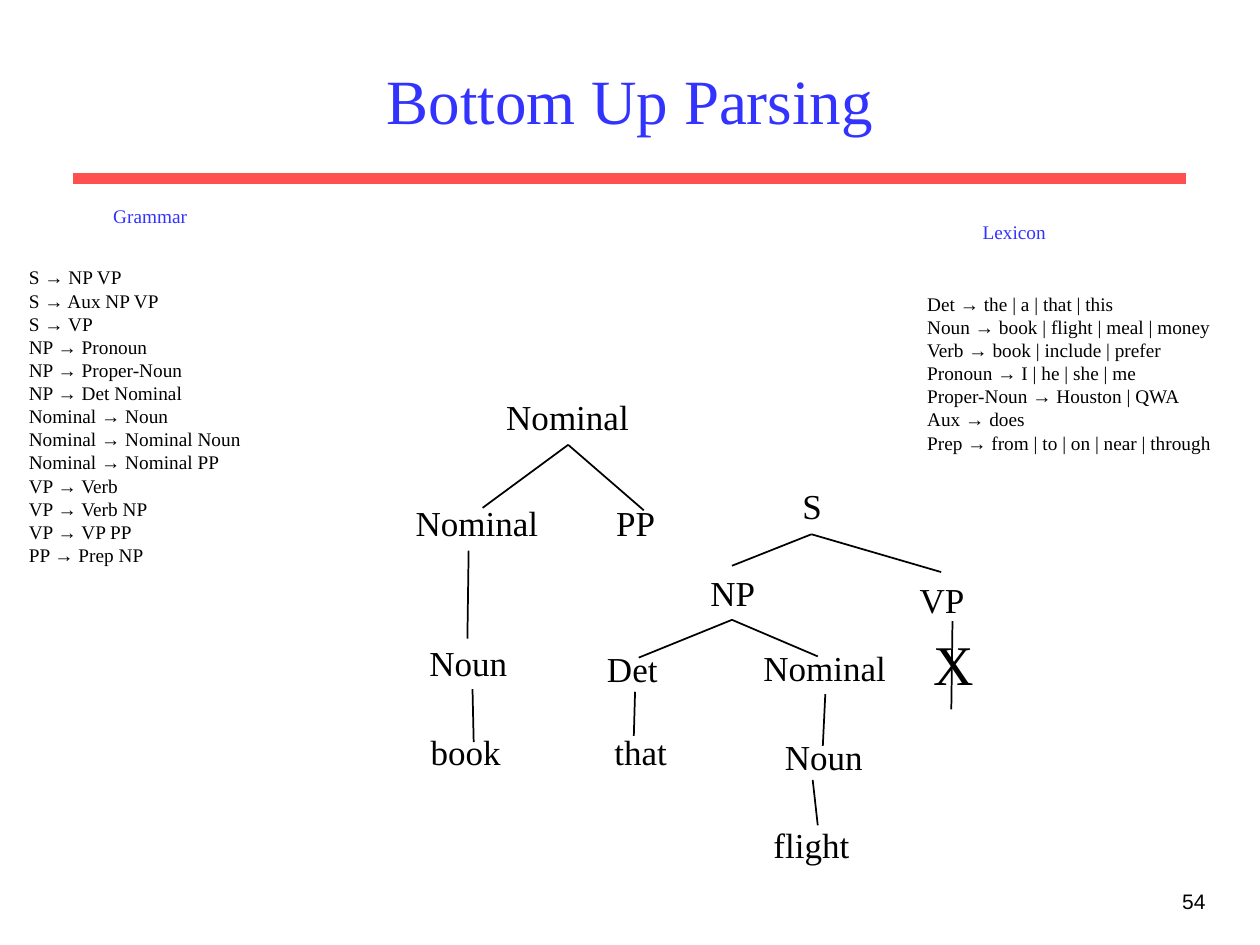
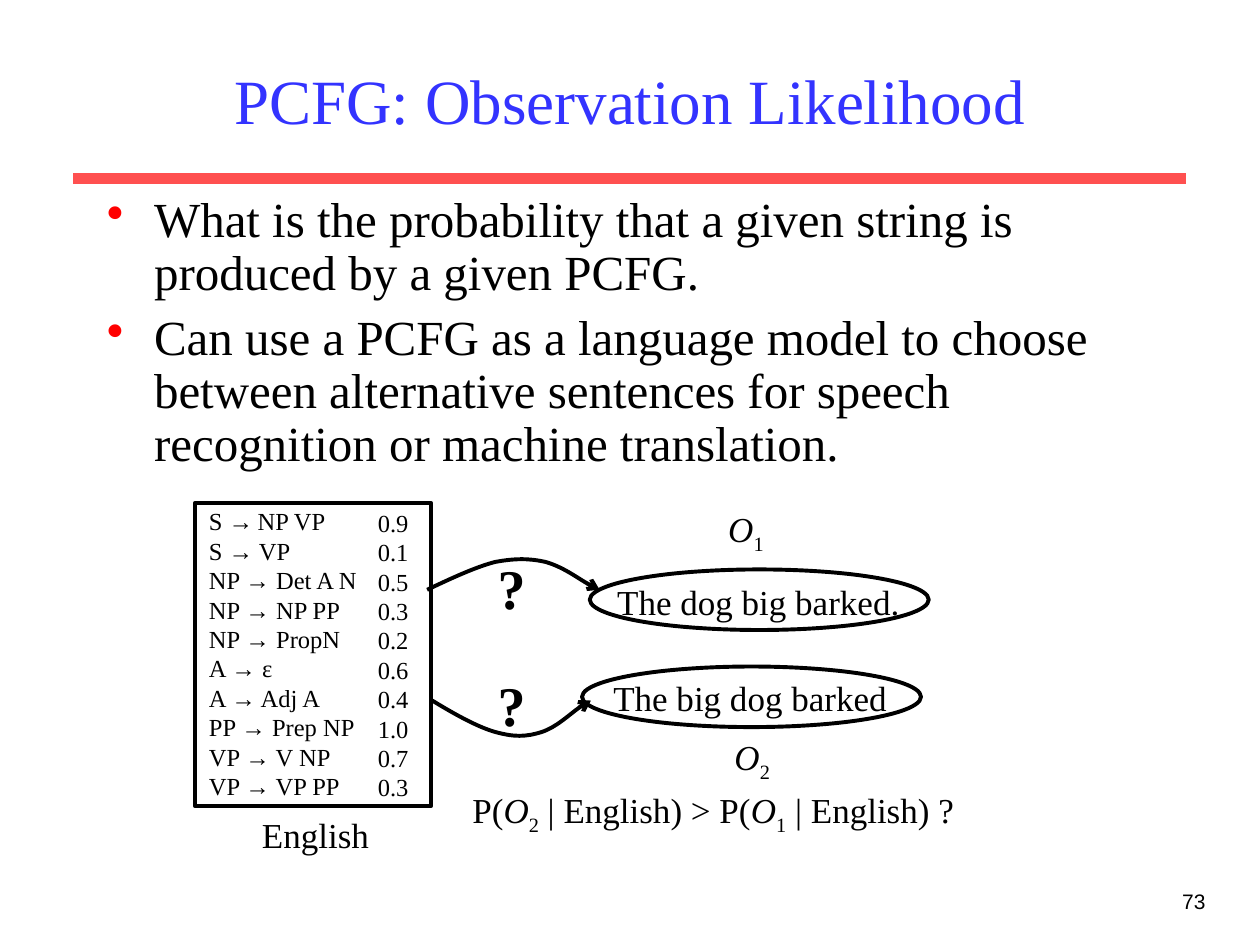
from lxml.etree import SubElement
from pptx import Presentation
from pptx.dml.color import RGBColor
from pptx.enum.shapes import MSO_CONNECTOR as Link, MSO_SHAPE as Kind
from pptx.enum.text import MSO_ANCHOR as Anchor, MSO_AUTO_SIZE as Fit, PP_ALIGN as Align
from pptx.oxml.ns import qn
from pptx.util import Pt

BLACK, BLUE, RED, CORAL = "000000", "3333FF", "FF0000", "FF5050"
SERIF, SANS = "Times New Roman", "Arial"
ROW = 31.7  # height of a 20 pt label


def paint(target, hue):
    """Set the colour of a fill or a font."""
    if hasattr(target, "solid"):
        target.solid()
        target = target.fore_color
    else:
        target = target.color
    target.rgb = RGBColor.from_string(hue)


class Deck:
    """Holds the shared style and the current slide."""

    def __init__(self):
        self.prs = Presentation()
        self.prs.slide_width, self.prs.slide_height = Pt(720), Pt(540)
        self.slide = None

    def page(self, title, number):
        """Start a slide with its title, rule and page number."""
        self.slide = self.prs.slides.add_slide(self.prs.slide_layouts[5])
        head = self.slide.shapes.title
        head.left, head.top, head.width, head.height = Pt(54), Pt(18), Pt(612), Pt(78)
        self.line((42, 102), (678, 102), CORAL, 6)
        self.fill(head.text_frame, [title], 36, BLUE, align=Align.CENTER)
        head.text_frame.vertical_anchor = Anchor.MIDDLE
        self.text((546, 504, 150, 36), [number], 12, font=SANS, align=Align.RIGHT)

    def fill(self, frame, paras, size=20, hue=BLACK, font=SERIF,
             align=Align.LEFT, bold=False, wrap=True):
        """Write paragraphs; each is a string or a list of (text, style) runs."""
        frame.word_wrap, frame.auto_size = wrap, Fit.NONE
        for i, runs in enumerate(paras):
            para = frame.add_paragraph() if i else frame.paragraphs[0]
            para.alignment = align
            for words, style in [(runs, {})] if isinstance(runs, str) else runs:
                run = para.add_run()
                run.text = words
                run.font.name, run.font.bold = font, bold
                run.font.size = Pt(style.get("size", size))
                run.font.italic = style.get("italic", False)
                paint(run.font, hue)
                if "base" in style:
                    run._r.get_or_add_rPr().set("baseline", style["base"])

    def text(self, box, paras, size=20, hue=BLACK, **style):
        frame = self.slide.shapes.add_textbox(*map(Pt, box)).text_frame
        self.fill(frame, paras, size, hue, **style)
        return frame

    def label(self, words, left, top, width, high=ROW, **style):
        self.text((left, top, width, high), [words], wrap=False, **style)

    def bullets(self, box, items, size):
        for i, para in enumerate(self.text(box, items, size).paragraphs):
            props = para._p.get_or_add_pPr()
            props.set("marL", str(Pt(27)))
            props.set("indent", str(-Pt(27)))
            tint = SubElement(props, qn("a:buClr"))
            SubElement(tint, qn("a:srgbClr"), val=RED)
            SubElement(props, qn("a:buChar"), char="•")
            para.line_spacing = 0.9
            para.space_before = Pt(7 if i else 0)

    def line(self, start, end, hue=BLACK, weight=1):
        link = self.slide.shapes.add_connector(
            Link.STRAIGHT, *map(Pt, (*start, *end)))
        paint(link.line.fill, hue)
        link.line.width = Pt(weight)
        SubElement(link._element.spPr, qn("a:effectLst"))

    def outline(self, shape):
        shape.shadow.inherit = False
        shape.fill.background()
        paint(shape.line.fill, BLACK)
        shape.line.width = Pt(2.25)

    def frame(self, kind, *box):
        self.outline(self.slide.shapes.add_shape(kind, *map(Pt, box)))

    def curve(self, start, *points):
        """Draw an arrow of cubic curves, three points to each."""
        spots = [(Pt(x), Pt(y)) for x, y in points]
        build = self.slide.shapes.build_freeform(*map(Pt, start))
        build.add_line_segments(spots, close=False)
        shape = build.convert_to_shape()
        self.outline(shape)
        legs = list(shape._element.iter(qn("a:lnTo")))
        for trio in zip(legs[::3], legs[1::3], legs[2::3]):
            bend = trio[0].makeelement(qn("a:cubicBezTo"))
            trio[0].addprevious(bend)
            for leg in trio:
                bend.append(leg[0])
                leg.getparent().remove(leg)
        SubElement(shape._element.spPr.find(qn("a:ln")), qn("a:tailEnd"), type="arrow")


def parsing(deck):
    deck.page("Bottom Up Parsing", "54")
    nodes = [
        ("Nominal", 282.2, 222.5, 84.2), ("Nominal", 230.4, 283.3, 84.2),
        ("PP", 345, 283.3, 36), ("Noun", 238.3, 363, 64), ("book", 239, 414, 55),
        ("Det", 339.8, 366.5, 43.2), ("that", 344, 414, 45),
        ("S", 451.4, 273.6, 25.2), ("NP", 398.9, 323.3, 39.6),
        ("VP", 518.4, 326.9, 39.6), ("Nominal", 429.1, 365.8, 84.2),
        ("Noun", 441.4, 416.9, 59), ("flight", 434.9, 467.3, 57.6),
    ]
    for node in nodes:
        deck.label(*node)
    deck.label("X", 526.3, 356.4, 37.4, 46.1, size=32)

    top, root, noun = (324.7, 254.2), (463.7, 305.3), (418.3, 354.2)
    edges = [
        (top, (275.8, 290.2)), (top, (367.9, 291.6)),
        ((267.8, 314.6), (267.1, 365)), ((270, 393.8), (270.7, 424.1)),
        (root, (418.3, 323.3)), (root, (537.8, 326.9)),
        (noun, (365, 375.8)), (noun, (467.3, 375.1)),
        ((362.9, 395.3), (362.2, 420.5)), ((471.6, 396.7), (470.2, 426.2)),
        ((464.4, 445.7), (467.3, 471.6)), ((544.3, 355), (543.6, 405.4)),
    ]
    for edge in edges:
        deck.line(*edge)

    deck.label("Grammar", 57.6, 113, 56.9, 20.9, size=11, hue=BLUE)
    deck.label("Lexicon", 554.4, 122.4, 50.4, 20.9, size=11, hue=BLUE)
    deck.text((9.4, 148.3, 136.8, 179.3), [
        "S → NP VP", "S → Aux NP VP", "S → VP", "NP → Pronoun",
        "NP → Proper-Noun", "NP → Det Nominal", "Nominal → Noun",
        "Nominal → Nominal Noun", "Nominal → Nominal PP", "VP → Verb",
        "VP → Verb NP", "VP → VP PP", "PP → Prep NP"], 11)
    deck.text((522.7, 163.4, 183.6, 100), [
        "Det → the | a | that | this", "Noun → book | flight | meal | money",
        "Verb → book | include | prefer", "Pronoun → I | he | she | me",
        "Proper-Noun → Houston | QWA", "Aux → does",
        "Prep → from | to | on | near | through"], 11)


def likelihood(deck):
    deck.page("PCFG: Observation Likelihood", "73")
    deck.bullets((54, 108, 612, 247), [
        "What is the probability that a given string is produced by a given PCFG.",
        "Can use a PCFG as a language model to choose between alternative "
        "sentences for speech recognition or machine translation."], 28)

    first = [("S →", {}), (" ", {"size": 10}), ("NP VP", {})]
    rules = [
        (first, "0.9"), ("S → VP", "0.1"), ("NP → Det A N", "0.5"),
        ("NP → NP PP", "0.3"), ("NP → PropN", "0.2"), ("A → ε", "0.6"),
        ("A → Adj A", "0.4"), ("PP → Prep NP", "1.0"), ("VP → V NP", "0.7"),
        ("VP → VP PP", "0.3")]
    names, odds = zip(*rules)
    deck.text((112.3, 285.8, 100.8, 175.7), names, 14, wrap=False)
    deck.text((208.8, 286.6, 31.7, 175.7), odds, 14, wrap=False)
    deck.frame(Kind.RECTANGLE, 111.6, 287.3, 134.6, 173.5)
    deck.label("English", 142.6, 461.5, 75.6)

    deck.label("The dog big barked.", 345.6, 328.3, 175.7)
    deck.label("The big dog barked", 343.4, 383, 170.6)
    deck.frame(Kind.OVAL, 332.6, 380.9, 193.7, 34.6)
    deck.frame(Kind.OVAL, 337, 325.4, 193.7, 34.6)

    def seen(digit):
        return [("O", {"italic": True}), (digit, {"base": "-25000"})]

    deck.label(seen("1"), 409, 286.6, 34.6, 34.6)
    deck.label(seen("2"), 412.6, 416.9, 34.6, 34.6)
    deck.curve((244.1, 337), (257.8, 330.5), (271.8, 324), (283, 321.1),
               (294.5, 319), (302.4, 319), (311.8, 321.1),
               (321.8, 324), (337.7, 335.5), (342.7, 337))
    deck.curve((247, 400.3), (259.9, 408.2), (272.9, 415.4), (283, 418.3),
               (293.8, 421.2), (300.2, 421.2), (309.6, 418.3),
               (318.2, 415.4), (332.6, 401.8), (337.7, 400.3))
    for top in (312.5, 379.4):
        deck.label("?", 277.2, top, 30.2, 46.1, size=32, bold=True)
    claim = [("P(", {}), *seen("2"), (" | English) > P(", {}),
             *seen("1"), (" | English) ?", {})]
    deck.label(claim, 262.8, 447.1, 289.4, 34.6)


def main():
    deck = Deck()
    parsing(deck)
    likelihood(deck)
    deck.prs.save("out.pptx")


if __name__ == "__main__":
    main()
